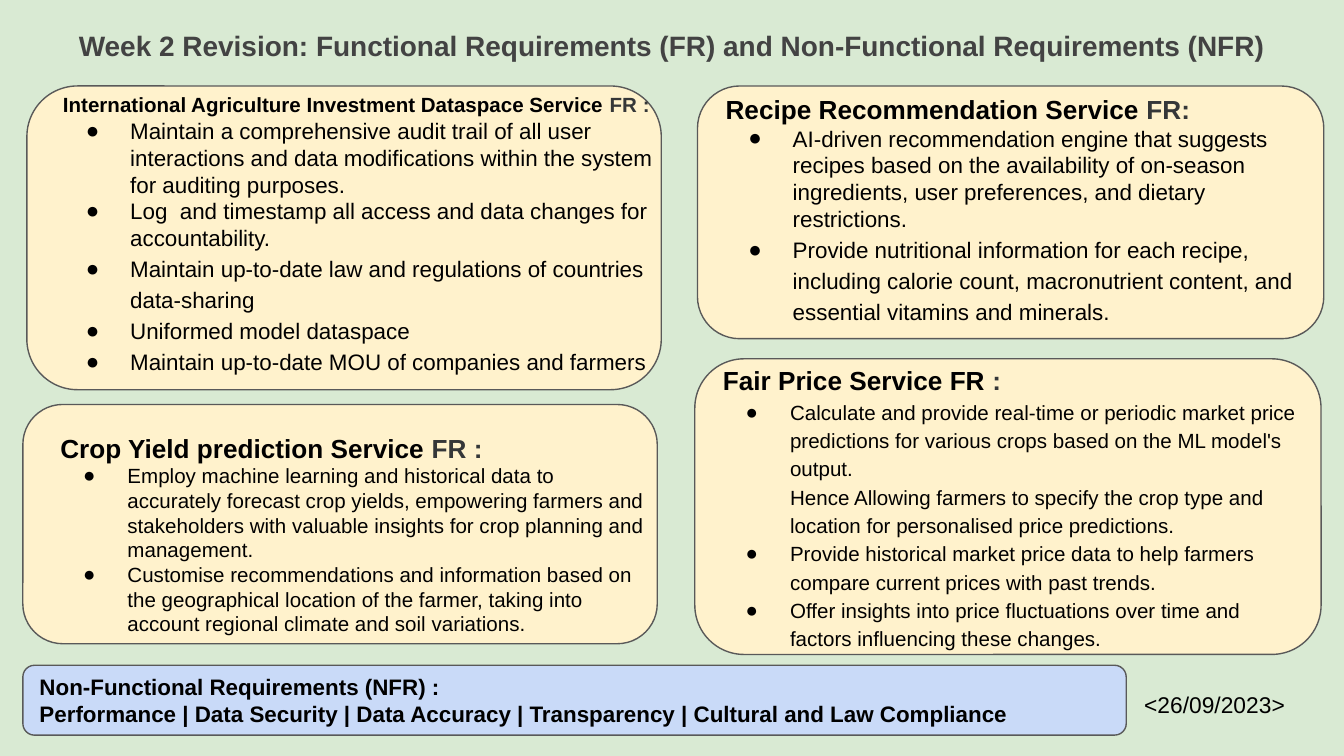
from dataclasses import dataclass

import pptx
import pptx.dml.color
import pptx.enum.shapes
import pptx.enum.text
import pptx.oxml.ns
import pptx.util
from lxml import etree

# The grid has 100 columns across the slide; rows are as tall as columns are wide.
SLIDE_WIDTH = pptx.util.Inches(10)
SLIDE_HEIGHT = SLIDE_WIDTH * 9 // 16
UNIT = SLIDE_WIDTH / 100
ALIGN = pptx.enum.text.PP_ALIGN


@dataclass(frozen=True)
class Theme:
    font: str = "Arial"
    background: str = "D9EAD3"
    card: str = "FFF2CC"
    banner: str = "C9DAF8"
    outline: str = "595959"
    title: str = "434343"
    text: str = "000000"
    label: str = "353738"
    title_size: float = 15
    date_size: float = 12.2
    heading_size: float = 14
    small_size: float = 11
    body_size: float = 12
    outline_width: float = 0.75
    loose: float = 1.15


THEME = Theme()


@dataclass(frozen=True)
class Area:
    column: float
    row: float
    columns: float
    rows: float

    def lengths(self) -> list[int]:
        cells = (self.column, self.row, self.columns, self.rows)
        return [round(cell * UNIT) for cell in cells]


@dataclass(frozen=True)
class Item:
    text: str
    loose: bool = False
    bullet: bool = True


@dataclass(frozen=True)
class Card:
    area: Area
    text_area: Area
    heading: str
    label: str
    items: tuple[Item, ...]
    heading_size: float = THEME.heading_size
    item_size: float = THEME.body_size


def rgb(color: str) -> pptx.dml.color.RGBColor:
    return pptx.dml.color.RGBColor.from_string(color)


def add_run(paragraph, text: str, size: float, color: str = THEME.text, bold: bool = False) -> None:
    run = paragraph.add_run()
    run.text = text
    run.font.name = THEME.font
    run.font.size = pptx.util.Pt(size)
    run.font.bold = bold
    run.font.color.rgb = rgb(color)


def indent(paragraph, bullet: bool) -> None:
    properties = paragraph._p.get_or_add_pPr()
    properties.set("marL", str(pptx.util.Inches(0.5)))
    properties.set("indent", str(pptx.util.Inches(-0.33 if bullet else 0)))
    if bullet:
        qn = pptx.oxml.ns.qn
        bullet_color = etree.SubElement(properties, qn("a:buClr"))
        etree.SubElement(bullet_color, qn("a:srgbClr"), val=THEME.text)
        etree.SubElement(properties, qn("a:buFont"), typeface=THEME.font)
        etree.SubElement(properties, qn("a:buChar"), char="●")


def prepare_frame(shape, anchor):
    frame = shape.text_frame
    frame.word_wrap = True
    frame.vertical_anchor = anchor
    frame.margin_left = frame.margin_right = pptx.util.Inches(0.1)
    frame.margin_top = frame.margin_bottom = pptx.util.Inches(0.1)
    return frame


def add_text_box(slide, area: Area):
    shape = slide.shapes.add_textbox(*area.lengths())
    return prepare_frame(shape, pptx.enum.text.MSO_ANCHOR.TOP)


def add_panel(slide, area: Area, color: str):
    shape = slide.shapes.add_shape(
        pptx.enum.shapes.MSO_SHAPE.ROUNDED_RECTANGLE, *area.lengths())
    shape.shadow.inherit = False
    shape.fill.solid()
    shape.fill.fore_color.rgb = rgb(color)
    shape.line.color.rgb = rgb(THEME.outline)
    shape.line.width = pptx.util.Pt(THEME.outline_width)
    return shape


def add_line(slide, area: Area, text: str, size: float, color: str, align, bold: bool) -> None:
    paragraph = add_text_box(slide, area).paragraphs[0]
    paragraph.alignment = align
    add_run(paragraph, text, size, color, bold)


def add_card(slide, card: Card) -> None:
    add_panel(slide, card.area, THEME.card)
    frame = add_text_box(slide, card.text_area)
    heading = frame.paragraphs[0]
    heading.line_spacing = THEME.loose
    add_run(heading, card.heading, card.heading_size, bold=True)
    add_run(heading, card.label, card.heading_size, THEME.label, bold=True)
    for item in card.items:
        paragraph = frame.add_paragraph()
        indent(paragraph, item.bullet)
        if item.loose:
            paragraph.line_spacing = THEME.loose
        add_run(paragraph, item.text, card.item_size)


def add_banner(slide, area: Area, lines: tuple[str, ...]) -> None:
    panel = add_panel(slide, area, THEME.banner)
    frame = prepare_frame(panel, pptx.enum.text.MSO_ANCHOR.MIDDLE)
    for index, line in enumerate(lines):
        paragraph = frame.add_paragraph() if index else frame.paragraphs[0]
        paragraph.alignment = ALIGN.LEFT
        add_run(paragraph, line, THEME.body_size, bold=True)


CARDS = (
    Card(Area(51.9, 6.4, 46.6, 18.8), Area(53, 5.6, 45.5, 20.3),
         "Recipe Recommendation Service ", "FR:", (
        Item("AI-driven recommendation engine that suggests recipes based on the availability of "
             "on-season ingredients, user preferences, and dietary restrictions."),
        Item("Provide nutritional information for each recipe, including calorie count, "
             "macronutrient content, and essential vitamins and minerals.", loose=True))),
    Card(Area(2, 6.4, 47.2, 22.6), Area(3.7, 5.6, 47.2, 20.3),
         "International Agriculture Investment Dataspace Service ", "FR :", (
        Item("Maintain a comprehensive audit trail of all user interactions and data "
             "modifications within the system for auditing purposes."),
        Item("Log  and timestamp all access and data changes for accountability."),
        Item("Maintain up-to-date law and regulations of countries data-sharing", loose=True),
        Item("Uniformed model dataspace", loose=True),
        Item("Maintain up-to-date MOU of companies and farmers", loose=True)),
         heading_size=THEME.small_size),
    Card(Area(51.7, 26.7, 46.6, 22), Area(52.8, 25.8, 45.5, 20.3),
         "Fair Price Service FR", " :", (
        Item("Calculate and provide real-time or periodic market price predictions for various "
             "crops based on the ML model's output.", loose=True),
        Item("Hence Allowing farmers to specify the crop type and location for personalised "
             "price predictions.", loose=True, bullet=False),
        Item("Provide historical market price data to help farmers compare current prices with "
             "past trends.", loose=True),
        Item("Offer insights into price fluctuations over time and factors influencing these "
             "changes.", loose=True)),
         item_size=THEME.small_size),
    Card(Area(1.7, 30.1, 47.2, 17.8), Area(3.5, 30.8, 45.5, 17.8),
         "Crop Yield prediction Service ", "FR :", (
        Item("Employ machine learning and historical data to accurately forecast crop yields, "
             "empowering farmers and stakeholders with valuable insights for crop planning "
             "and management."),
        Item("Customise recommendations and information based on the geographical location of "
             "the farmer, taking into account regional climate and soil variations.")),
         item_size=THEME.small_size),
)


def main() -> None:
    presentation = pptx.Presentation()
    presentation.slide_width, presentation.slide_height = SLIDE_WIDTH, SLIDE_HEIGHT
    slide = presentation.slides.add_slide(presentation.slide_layouts[6])
    slide.background.fill.solid()
    slide.background.fill.fore_color.rgb = rgb(THEME.background)

    # Title and date
    add_line(slide, Area(3.4, 1.1, 93.2, 4.1),
             "Week 2 Revision: Functional Requirements (FR) and Non-Functional Requirements (NFR)",
             THEME.title_size, THEME.title, ALIGN.CENTER, bold=True)
    add_line(slide, Area(3.4, 50.4, 93.2, 4.1), "<26/09/2023>",
             THEME.date_size, THEME.text, ALIGN.RIGHT, bold=False)

    # Functional requirements, one card per service
    for card in CARDS:
        add_card(slide, card)

    # Non-functional requirements
    add_banner(slide, Area(1.7, 49.5, 82.1, 5.2), (
        "Non-Functional Requirements (NFR) :",
        "Performance | Data Security | Data Accuracy | Transparency | "
        "Cultural and Law Compliance"))

    presentation.save("out.pptx")


if __name__ == "__main__":
    main()
